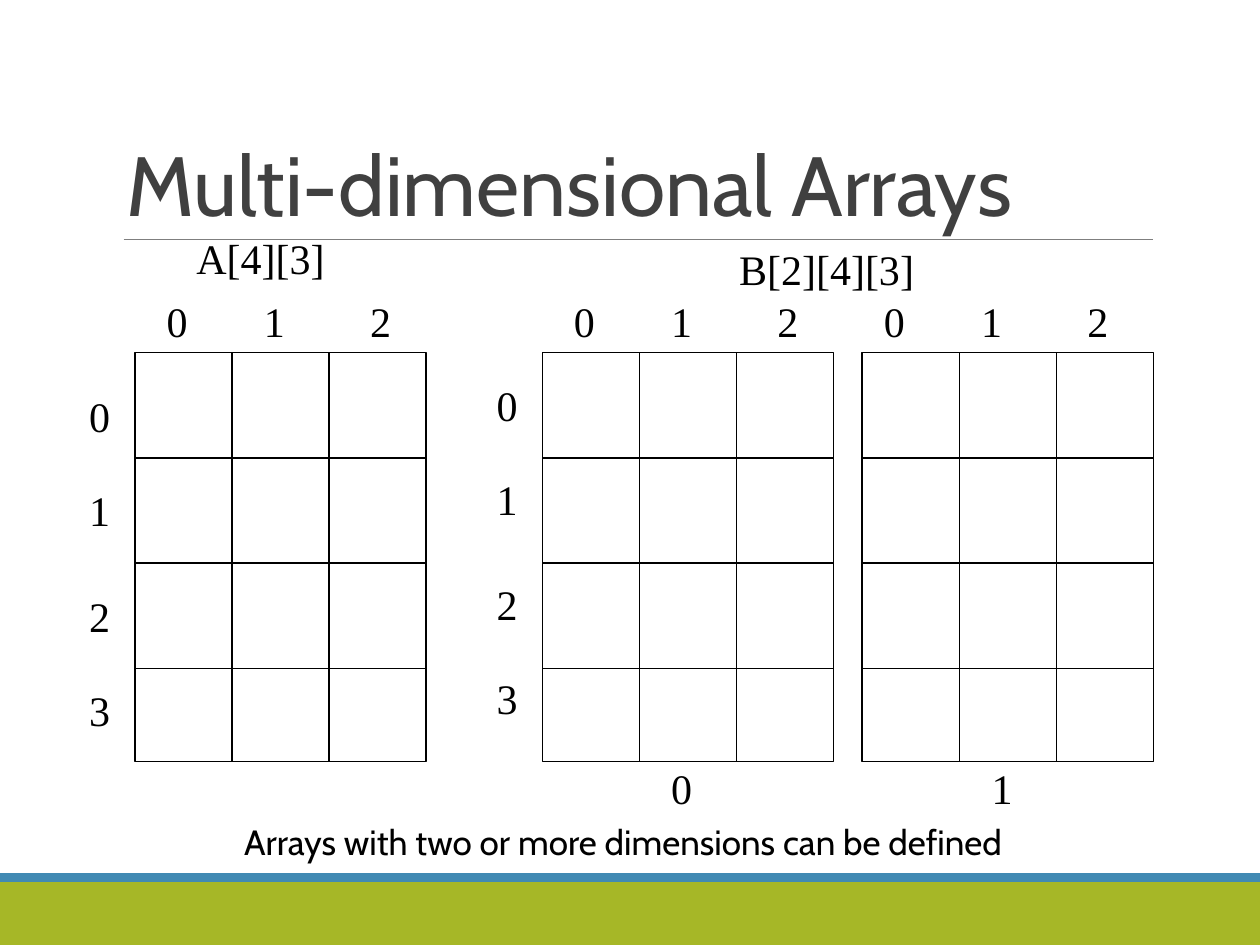
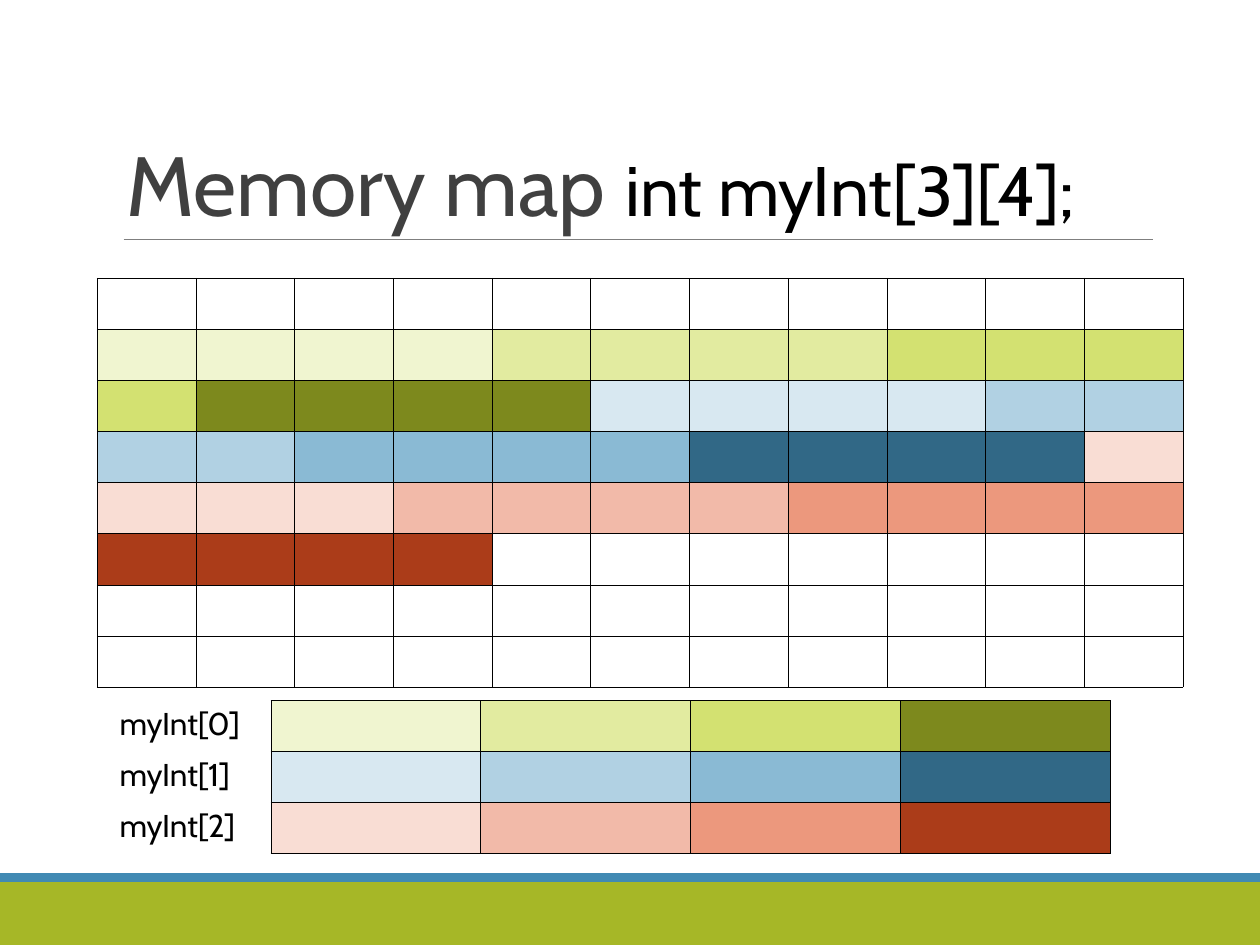
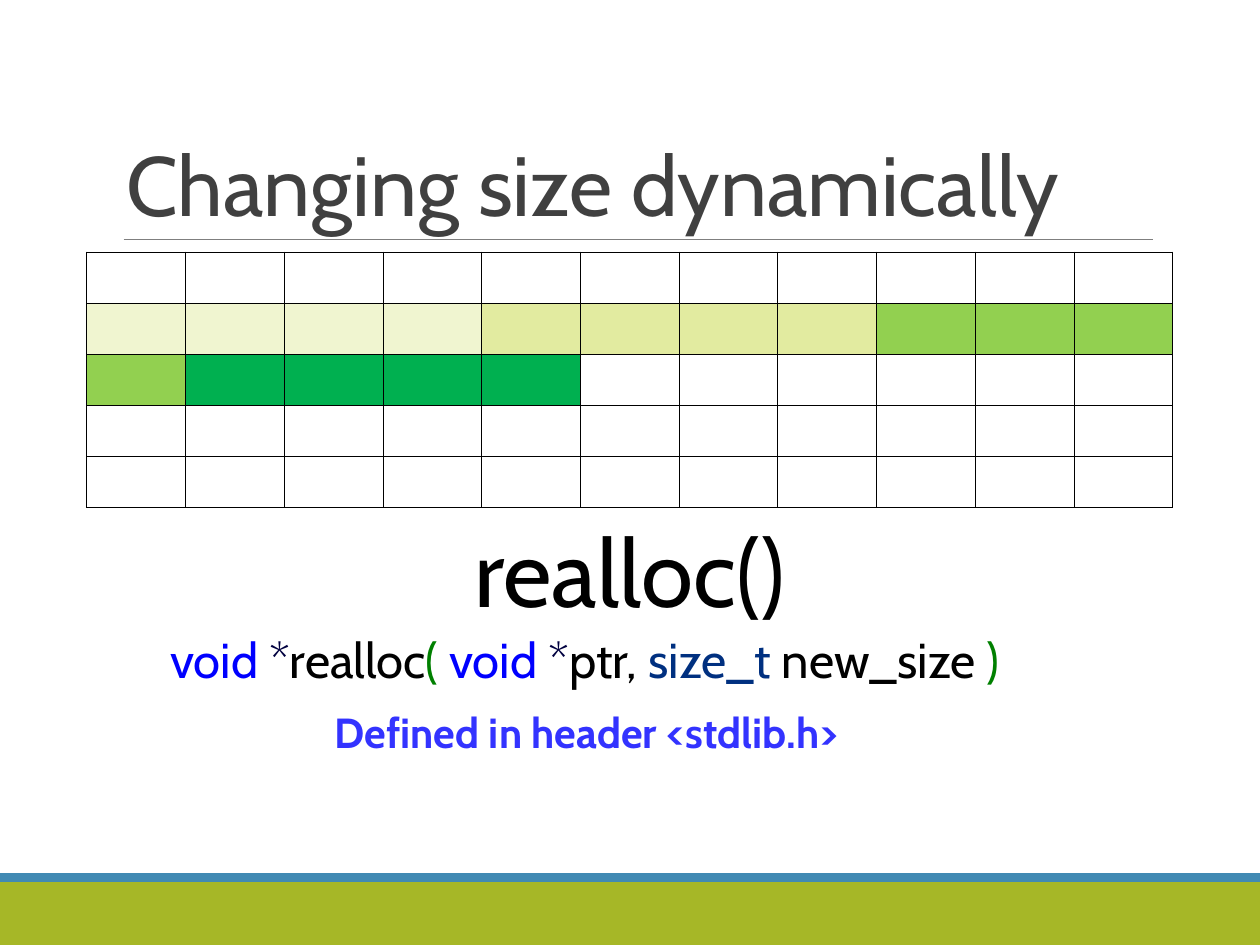
"""Build three slides on multi-dimensional arrays and their memory layout."""
from itertools import chain, repeat

from lxml import etree
from pptx import Presentation
from pptx import util as u
from pptx.dml.color import RGBColor
from pptx.enum import shapes, text
from pptx.oxml.ns import qn

COLORS = {
    "black": "000000", "white": "FFFFFF", "title": "404040", "rule": "7F7F7F",
    "band": "A6B727", "stripe": "418AB3",
    "green1": "F0F5D0", "green2": "E2EBA0", "green3": "D3E171", "green4": "7D891D",
    "blue1": "D8E8F1", "blue2": "B1D1E3", "blue3": "8ABAD4", "blue4": "316886",
    "red1": "F9DDD4", "red2": "F2BAA9", "red3": "EC987D", "red4": "AB3C19",
    "lime": "92D050", "emerald": "00B050",
    "keyword": "0000FF", "star": "000040", "bracket": "008000",
    "type": "003080", "header": "3333FF",
}
SANS, SERIF = "Cabin", "Times New Roman"
LEFT, CENTER = text.PP_ALIGN.LEFT, text.PP_ALIGN.CENTER

COLUMN_LABELS = ((0, 1.17), (1.96, 0.97), (4.1, 1.37))
ROW_LABELS = ((0, 1.17), (1.9, 0.97), (4.02, 1.37), (5.92, 0.97))
GRID_TOP, GRID_WIDTH, GRID_HEIGHT = 7.11, 5.87, 8.25
ROW_PITCH = 2.12
MEMORY_COLUMNS, BYTES_PER_INT = 11, 4
MEMORY_CELL = (1.99, 1.03)


class Deck:
    """Hold the shared style and the current slide."""

    def __init__(self):
        self.prs = Presentation()
        self.prs.slide_width, self.prs.slide_height = u.Cm(25.4), u.Cm(19.05)
        self.slide = None

    def rgb(self, color):
        return RGBColor.from_string(COLORS[color])

    def add_slide(self, heading):
        self.slide = self.prs.slides.add_slide(self.prs.slide_layouts[5])
        self.rect(0, 17.78, 25.4, 1.27, fill="band")
        self.rect(0, 17.6, 25.4, 0.18, fill="stripe")
        self.line(2.49, 4.83, 23.24, 4.83, "rule", 0.5)
        title = self.slide.shapes.title
        title.left, title.top = u.Cm(2.29), u.Cm(0.79)
        title.width, title.height = u.Cm(20.96), u.Cm(4.04)
        frame = title.text_frame
        frame.auto_size = text.MSO_AUTO_SIZE.NONE
        frame.vertical_anchor = text.MSO_ANCHOR.BOTTOM
        frame.paragraphs[0].line_spacing = 0.85
        self.add_runs(frame, [(heading, "title")], 48)

    def add_runs(self, frame, runs, size, font=SANS, align=LEFT, bold=False):
        paragraph = frame.paragraphs[0]
        paragraph.alignment = align
        for words, color in runs:
            run = paragraph.add_run()
            run.text = words
            run.font.size, run.font.name, run.font.bold = u.Pt(size), font, bold
            run.font.color.rgb = self.rgb(color)

    def text(self, x, y, width, height, runs, size, **style):
        box = self.slide.shapes.add_textbox(u.Cm(x), u.Cm(y), u.Cm(width), u.Cm(height))
        box.text_frame.word_wrap = True
        if isinstance(runs, str):
            runs = [(runs, "black")]
        self.add_runs(box.text_frame, runs, size, **style)
        return box

    def rect(self, x, y, width, height, fill=None, outline=None):
        box = self.slide.shapes.add_shape(
            shapes.MSO_SHAPE.RECTANGLE, u.Cm(x), u.Cm(y), u.Cm(width), u.Cm(height))
        box.shadow.inherit = False
        if fill:
            box.fill.solid()
            box.fill.fore_color.rgb = self.rgb(fill)
        else:
            box.fill.background()
        if outline:
            box.line.color.rgb = self.rgb(outline)
            box.line.width = u.Pt(0.75)
        else:
            box.line.fill.background()

    def line(self, x1, y1, x2, y2, color="black", weight=0.75):
        rule = self.slide.shapes.add_connector(
            shapes.MSO_CONNECTOR.STRAIGHT, u.Cm(x1), u.Cm(y1), u.Cm(x2), u.Cm(y2))
        rule.line.color.rgb = self.rgb(color)
        rule.line.width = u.Pt(weight)
        etree.SubElement(rule._element.spPr, qn("a:effectLst"))

    def label(self, x, y, width, words):
        self.text(x, y, width, 1.27, words, 24, font=SERIF)

    def array_grid(self, left, labels_left):
        self.rect(left, GRID_TOP, GRID_WIDTH, GRID_HEIGHT, outline="black")
        for row in range(1, 4):
            y = GRID_TOP + row * ROW_PITCH
            self.line(left, y, left + GRID_WIDTH, y)
        for column in range(1, 3):
            x = left + column * GRID_WIDTH / 3
            self.line(x, GRID_TOP, x, GRID_TOP + GRID_HEIGHT)
        for index, (offset, width) in enumerate(COLUMN_LABELS):
            self.label(labels_left + offset, 5.84, width, str(index))

    def row_labels(self, left, top):
        for index, (offset, width) in enumerate(ROW_LABELS):
            self.label(left, top + offset, width, str(index))

    def border(self, cell):
        properties = cell._tc.get_or_add_tcPr()
        for side in ("lnL", "lnR", "lnT", "lnB"):
            edge = etree.SubElement(properties, qn(f"a:{side}"), w=str(u.Pt(0.45)))
            fill = etree.SubElement(edge, qn("a:solidFill"))
            etree.SubElement(fill, qn("a:srgbClr"), val=COLORS["black"])

    def color_table(self, x, y, rows, columns, cell_size, fills):
        width, height = cell_size
        table = self.slide.shapes.add_table(
            rows, columns, u.Cm(x), u.Cm(y),
            u.Cm(columns * width), u.Cm(rows * height)).table
        table.first_row = table.horz_banding = False
        for column in table.columns:
            column.width = u.Cm(width)
        for row in table.rows:
            row.height = u.Cm(height)
        for cell, color in zip(table.iter_cells(), chain(fills, repeat(None))):
            cell.margin_top = cell.margin_bottom = 0
            self.border(cell)
            if color:
                cell.fill.solid()
                cell.fill.fore_color.rgb = self.rgb(color)
            else:
                cell.fill.background()

    def memory_map(self, x, y, rows, integers):
        free = [None] * MEMORY_COLUMNS
        used = [color for color in integers for _ in range(BYTES_PER_INT)]
        self.color_table(x, y, rows, MEMORY_COLUMNS, MEMORY_CELL, free + used)


def arrays_slide(deck):
    deck.add_slide("Multi-dimensional Arrays")
    caption = deck.text(1.96, 16.51, 20.96, 1.14,
                        "Arrays with two or more dimensions can be defined", 20, align=CENTER)
    caption.text_frame.margin_left, caption.text_frame.margin_right = u.Cm(0.25), 0
    caption.text_frame.paragraphs[0].line_spacing = 0.9
    for left, labels_left in ((2.72, 3.11), (10.94, 11.32), (17.38, 17.57)):
        deck.array_grid(left, labels_left)
    deck.row_labels(1.55, 7.75)
    deck.row_labels(9.76, 7.52)
    deck.label(13.28, 15.24, 1.55, "0")
    deck.label(19.74, 15.24, 2.16, "1")
    deck.label(3.71, 4.57, 3.91, "A[4][3]")
    deck.label(14.65, 4.78, 4.88, "B[2][4][3]")


def memory_slide(deck):
    deck.add_slide("Memory map")
    integers = [f"{hue}{shade}" for hue in ("green", "blue", "red") for shade in range(1, 5)]
    deck.memory_map(1.96, 5.61, 8, integers)
    deck.text(11.96, 2.82, 10.36, 1.96, "int myInt[3][4];", 40, align=CENTER)
    deck.color_table(5.46, 14.12, 3, 4, (4.23, 1.03), integers)
    for row in range(3):
        deck.text(2.16, 14.07 + row * 1.03, 3.05, 1.02, f"myInt[{row}]", 18)


def realloc_slide(deck):
    deck.add_slide("Changing size dynamically")
    deck.memory_map(1.75, 5.08, 5, ["green1", "green2", "lime", "emerald"])
    deck.text(8.89, 10.21, 7.62, 2.54, "realloc()", 54, align=CENTER)
    deck.text(3.18, 12.57, 19.02, 1.45, [
        ("void ", "keyword"), ("*", "star"), ("realloc", "black"), ("( ", "bracket"),
        ("void ", "keyword"), ("*", "star"), ("ptr, ", "black"), ("size_t", "type"),
        (" new_size ", "black"), (")", "bracket")], 28)
    header = deck.text(6.5, 14.12, 12.42, 1.27,
                       [("Defined in header <stdlib.h>", "header")], 24, bold=True)
    header.text_frame.vertical_anchor = text.MSO_ANCHOR.MIDDLE
    header.fill.solid()
    header.fill.fore_color.rgb = deck.rgb("white")


def main():
    deck = Deck()
    for build in (arrays_slide, memory_slide, realloc_slide):
        build(deck)
    deck.prs.save("out.pptx")


if __name__ == "__main__":
    main()
